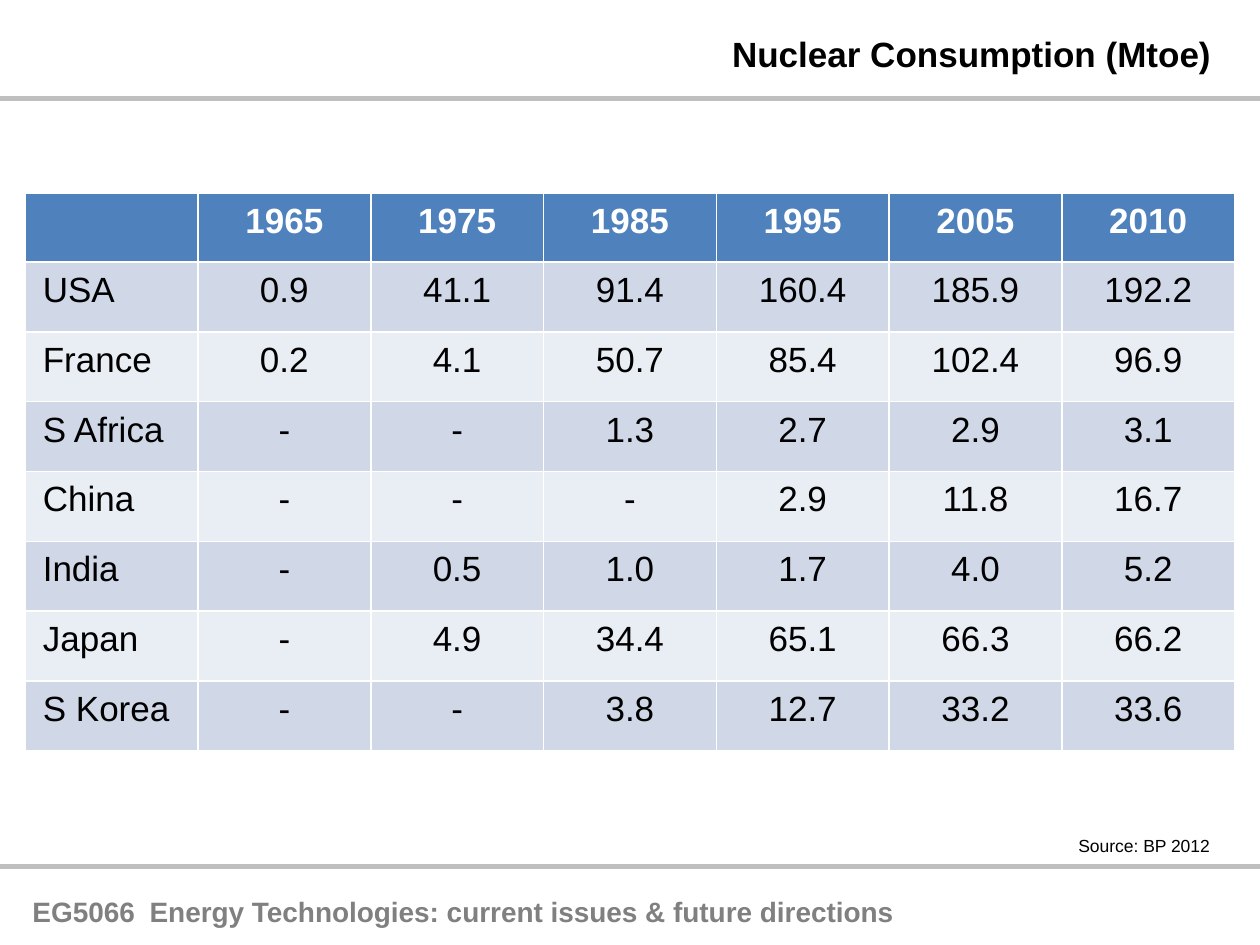
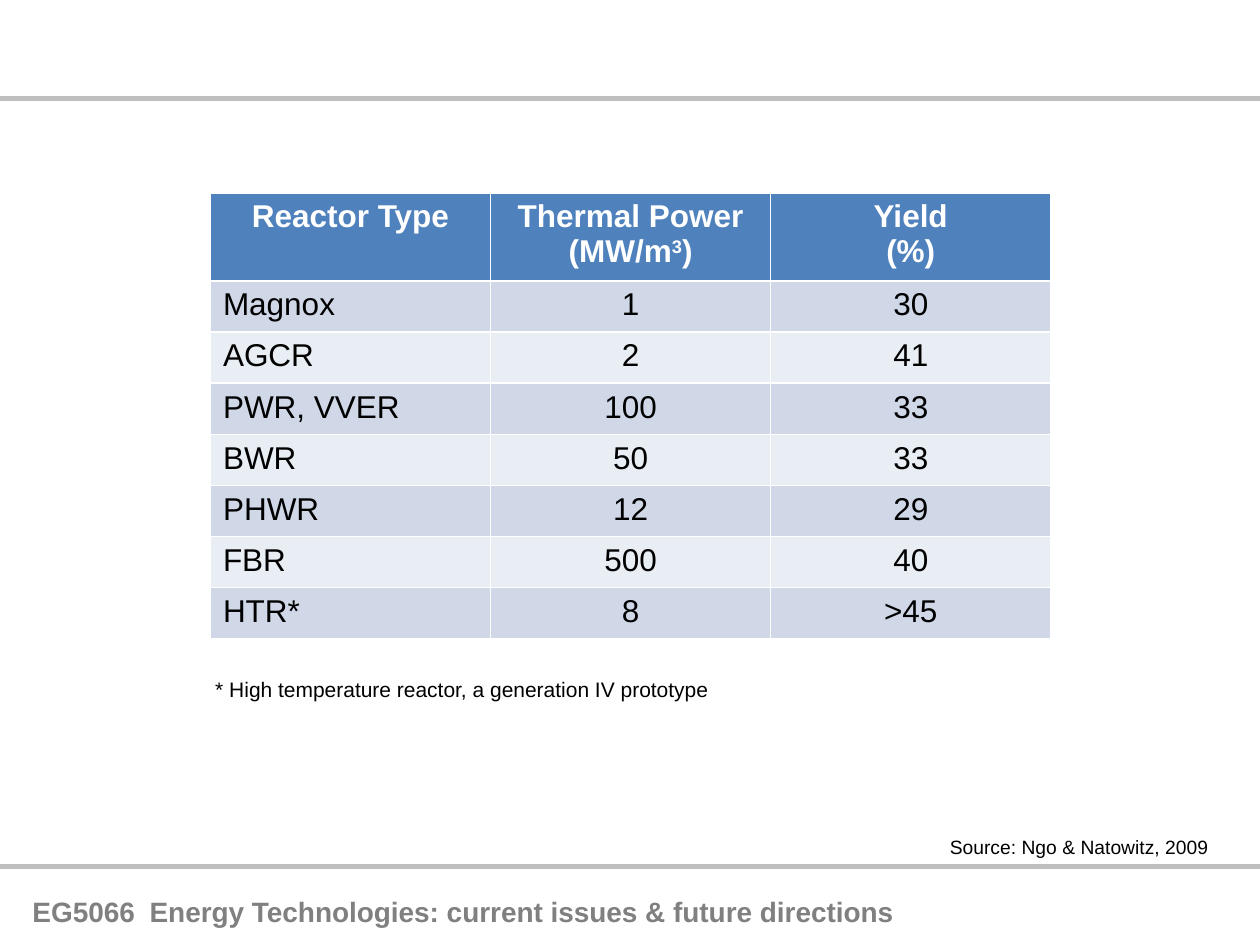
"""Build two nuclear energy table slides with a shared title rule and course footer."""
from dataclasses import dataclass

from pptx import Presentation, util as u
from pptx.dml.color import RGBColor
from pptx.enum import shapes, text
from pptx.oxml.ns import qn
from lxml import etree


@dataclass(frozen=True)
class Theme:
    font: str = "Arial"
    ink: str = "000000"
    white: str = "FFFFFF"
    footer_ink: str = "808080"
    rule: str = "BFBFBF"
    header: str = "4F81BD"
    bands: tuple = ("D0D8E8", "E9EDF4")
    title_size: int = 20
    footer_size: int = 16
    rule_width: int = 3


TITLE_ONLY, BLANK = 5, 6
FOOTER = "EG5066\tEnergy Technologies: current issues & future directions"
CONSUMPTION = [
    ["", "1965", "1975", "1985", "1995", "2005", "2010"],
    ["USA", "0.9", "41.1", "91.4", "160.4", "185.9", "192.2"],
    ["France", "0.2", "4.1", "50.7", "85.4", "102.4", "96.9"],
    ["S Africa", "-", "-", "1.3", "2.7", "2.9", "3.1"],
    ["China", "-", "-", "-", "2.9", "11.8", "16.7"],
    ["India", "-", "0.5", "1.0", "1.7", "4.0", "5.2"],
    ["Japan", "-", "4.9", "34.4", "65.1", "66.3", "66.2"],
    ["S Korea", "-", "-", "3.8", "12.7", "33.2", "33.6"],
]
REACTORS = [
    ["Reactor Type", "Thermal Power\n(MW/m^3^)", "Yield\n(%)"],
    ["Magnox", "1", "30"],
    ["AGCR", "2", "41"],
    ["PWR, VVER", "100", "33"],
    ["BWR", "50", "33"],
    ["PHWR", "12", "29"],
    ["FBR", "500", "40"],
    ["HTR*", "8", ">45"],
]


class Deck:
    def __init__(self, theme):
        self.theme = theme
        self.presentation = Presentation()
        self.presentation.slide_width = u.Inches(10)
        self.presentation.slide_height = u.Inches(7.5)
        self.slide = None

    def start_slide(self, layout):
        self.slide = self.presentation.slides.add_slide(
            self.presentation.slide_layouts[layout])
        footer = self.label(FOOTER, 0.16, 7.05, 7.13, 0.37,
                            self.theme.footer_size, self.theme.footer_ink, True)
        self.tab_stop(footer.text_frame.paragraphs[0], 0.93)
        for top in (6.88, 0.78):
            self.rule(top)

    def style(self, paragraph, size, color, bold=False):
        for run in paragraph.runs:
            run.font.name = self.theme.font
            run.font.size = u.Pt(size)
            run.font.bold = bold
            run.font.color.rgb = RGBColor.from_string(color)

    def tab_stop(self, paragraph, position):
        properties = paragraph._p.get_or_add_pPr()
        tabs = etree.SubElement(properties, qn("a:tabLst"))
        etree.SubElement(tabs, qn("a:tab"), pos=str(u.Inches(position)), algn="l")

    def raise_marked(self, paragraph):
        first, *others = paragraph.text.split("^")
        paragraph.text = first
        for index, piece in enumerate(others):
            run = paragraph.add_run()
            run.text = piece
            if index % 2 == 0:
                run._r.get_or_add_rPr().set("baseline", "30000")

    def fit_line(self, shape, wording, size, color, bold):
        frame = shape.text_frame
        frame.text = wording
        frame.word_wrap = False
        frame.auto_size = text.MSO_AUTO_SIZE.SHAPE_TO_FIT_TEXT
        frame.vertical_anchor = text.MSO_ANCHOR.TOP
        frame.paragraphs[0].alignment = text.PP_ALIGN.LEFT
        self.style(frame.paragraphs[0], size, color, bold)

    def label(self, wording, left, top, width, height, size, color=None, bold=False):
        box = self.slide.shapes.add_textbox(
            *map(u.Inches, (left, top, width, height)))
        self.fit_line(box, wording, size, color or self.theme.ink, bold)
        return box

    def title(self, wording, left, top, width, height):
        title = self.slide.shapes.title
        title.left, title.top = u.Inches(left), u.Inches(top)
        title.width, title.height = u.Inches(width), u.Inches(height)
        self.fit_line(title, wording, self.theme.title_size, self.theme.ink, True)

    def rule(self, top):
        line = self.slide.shapes.add_connector(
            shapes.MSO_CONNECTOR.STRAIGHT, 0, u.Inches(top),
            self.presentation.slide_width, u.Inches(top))
        line.line.color.rgb = RGBColor.from_string(self.theme.rule)
        line.line.width = u.Pt(self.theme.rule_width)
        etree.SubElement(line._element.spPr, qn("a:effectLst"))

    def table(self, rows, left, top, width, height, header_height, size, margins):
        columns = len(rows[0])
        table = self.slide.shapes.add_table(
            len(rows), columns, *map(u.Inches, (left, top, width, height))).table
        for column in table.columns:
            column.width = u.Inches(width / columns)
        body_height = (height - header_height) / (len(rows) - 1)
        for row_index, values in enumerate(rows):
            is_header = row_index == 0
            table.rows[row_index].height = u.Inches(
                header_height if is_header else body_height)
            for column_index, value in enumerate(values):
                centred = is_header or column_index > 0
                self.cell(table.cell(row_index, column_index), value,
                          row_index, centred, size, margins)

    def cell(self, cell, value, row_index, centred, size, margins):
        is_header = row_index == 0
        fill = self.theme.header if is_header else self.theme.bands[(row_index - 1) % 2]
        cell.fill.solid()
        cell.fill.fore_color.rgb = RGBColor.from_string(fill)
        cell.margin_left = cell.margin_right = u.Inches(margins[0])
        cell.margin_top = cell.margin_bottom = u.Inches(margins[1])
        cell.text_frame.text = value
        for paragraph in cell.text_frame.paragraphs:
            if "^" in paragraph.text:
                self.raise_marked(paragraph)
            paragraph.alignment = (
                text.PP_ALIGN.CENTER if centred else text.PP_ALIGN.LEFT)
            self.style(paragraph, size,
                       self.theme.white if is_header else self.theme.ink, is_header)


def main():
    deck = Deck(Theme())

    deck.start_slide(TITLE_ONLY)
    deck.table(CONSUMPTION, 0.2, 1.53, 9.6, 4.43,
               header_height=0.55, size=20, margins=(0.14, 0.07))
    deck.title("Nuclear Consumption (Mtoe)", 5.71, 0.21, 4.03, 0.44)
    deck.label("Source: BP 2012", 8.46, 6.58, 1.25, 0.27, 10)

    deck.start_slide(BLANK)
    deck.table(REACTORS, 1.67, 1.53, 6.67, 3.54,
               header_height=0.7, size=18, margins=(0.1, 0.05))
    deck.label("Source: Ngo & Natowitz, 2009", 7.44, 6.58, 2.27, 0.29, 11)
    deck.label("* High temperature reactor, a generation IV prototype",
               1.61, 5.32, 4.15, 0.3, 12)

    deck.presentation.save("out.pptx")


if __name__ == "__main__":
    main()
